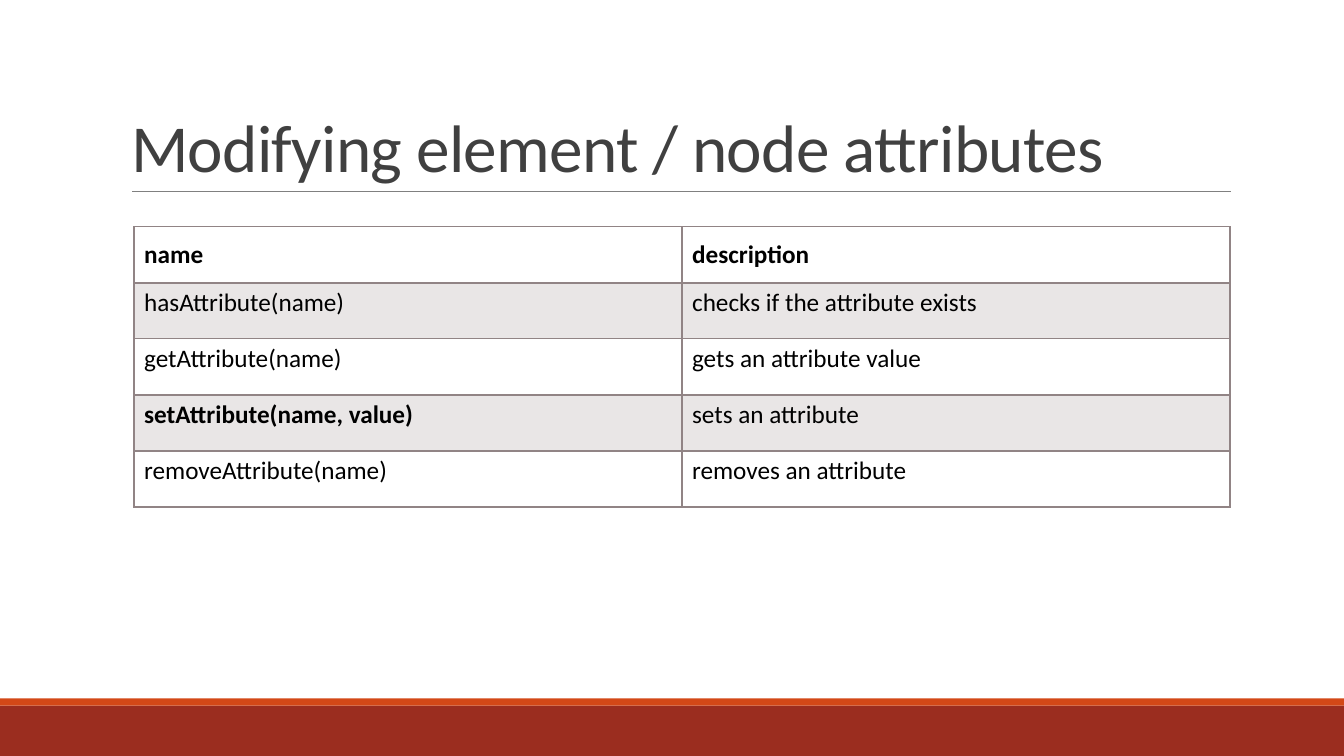
import pptx
import pptx.dml.color
import pptx.enum.shapes
import pptx.enum.text
import pptx.oxml.xmlchemy
import pptx.util
from lxml import etree
from pptx.dml.color import RGBColor
from pptx.oxml.ns import qn
from pptx.util import Inches

BLACK = RGBColor(0x00, 0x00, 0x00)
CHARCOAL = RGBColor(0x40, 0x40, 0x40)
GRAY = RGBColor(0x80, 0x80, 0x80)
MAUVE = RGBColor(0x91, 0x84, 0x85)
ORANGE = RGBColor(0xD3, 0x48, 0x17)
BRICK = RGBColor(0x9B, 0x2D, 0x1F)

ATTRIBUTE_METHODS = [
    ("name", "description"),
    ("hasAttribute(name)", "checks if the attribute exists"),
    ("getAttribute(name)", "gets an attribute value"),
    ("setAttribute(name, value)", "sets an attribute"),
    ("removeAttribute(name)", "removes an attribute"),
]
BOLD_TEXTS = {"name", "description", "setAttribute(name, value)"}


class SlideBuilder:
    font_name = "Calibri"

    def __init__(self, page):
        self.page = page

    def style(self, paragraph, size, color, bold=False):
        font = paragraph.font
        font.name = self.font_name
        font.size = pptx.util.Pt(size)
        font.bold = bold
        font.color.rgb = color

    def band(self, top, height, color):
        box = self.page.shapes.add_shape(
            pptx.enum.shapes.MSO_SHAPE.RECTANGLE,
            0, Inches(top), Inches(13.33), Inches(height))
        box.shadow.inherit = False
        box.fill.solid()
        box.fill.fore_color.rgb = color
        box.line.fill.background()

    def rule(self, left, right, top):
        line = self.page.shapes.add_connector(
            pptx.enum.shapes.MSO_CONNECTOR.STRAIGHT,
            Inches(left), Inches(top), Inches(right), Inches(top))
        line.line.color.rgb = GRAY
        line.line.width = pptx.util.Pt(0.5)
        etree.SubElement(line._element.spPr, qn("a:effectLst"))

    def title(self, text, left, top, width, height):
        box = self.page.shapes.title
        box.left, box.top = Inches(left), Inches(top)
        box.width, box.height = Inches(width), Inches(height)
        frame = box.text_frame
        frame.text = text
        frame.word_wrap = True
        frame.auto_size = pptx.enum.text.MSO_AUTO_SIZE.NONE
        frame.vertical_anchor = pptx.enum.text.MSO_ANCHOR.BOTTOM
        para = frame.paragraphs[0]
        para.alignment = pptx.enum.text.PP_ALIGN.LEFT
        para.line_spacing = 0.85
        self.style(para, 48, CHARCOAL)
        para.runs[0].font._element.set("spc", "-50")

    def borders(self, cell, widths):
        """Draw cell borders, with widths in points for left, right, top, bottom."""
        properties = cell._tc.get_or_add_tcPr()
        for side, width in zip("LRTB", widths):
            line = etree.SubElement(properties, qn(f"a:ln{side}"), w=str(pptx.util.Pt(width)))
            fill = etree.SubElement(line, qn("a:solidFill"))
            etree.SubElement(fill, qn("a:srgbClr"), val=str(MAUVE))

    def shade(self, cell, opacity):
        cell.fill.solid()
        cell.fill.fore_color.rgb = MAUVE
        color = cell._tc.tcPr.find(f"{qn('a:solidFill')}/{qn('a:srgbClr')}")
        etree.SubElement(color, qn("a:alpha"), val=str(opacity * 1000))

    def table(self, rows, left, top, width, row_height):
        table = self.page.shapes.add_table(
            len(rows), len(rows[0]), Inches(left), Inches(top),
            Inches(width), Inches(row_height * len(rows))).table
        for row_index, texts in enumerate(rows):
            table.rows[row_index].height = Inches(row_height)
            for column_index, text in enumerate(texts):
                cell = table.cell(row_index, column_index)
                cell.text = text
                self.style(cell.text_frame.paragraphs[0], 18, BLACK, text in BOLD_TEXTS)
                top_width = 2 if row_index == 1 else 1
                bottom_width = 2 if row_index == 0 else 1
                self.borders(cell, (1, 1, top_width, bottom_width))
                if row_index % 2:
                    self.shade(cell, 20)
                else:
                    cell.fill.background()
                if row_index == 0:
                    cell.vertical_anchor = pptx.enum.text.MSO_ANCHOR.MIDDLE


def main():
    deck = pptx.Presentation()
    deck.slide_width, deck.slide_height = Inches(13.33), Inches(7.5)
    builder = SlideBuilder(deck.slides.add_slide(deck.slide_layouts[5]))
    builder.band(7, 0.5, BRICK)
    builder.band(6.93, 0.07, ORANGE)
    builder.rule(1.31, 12.21, 1.9)
    builder.title("Modifying element / node attributes", 1.2, 0.31, 11, 1.59)
    builder.table(ATTRIBUTE_METHODS, 1.33, 2.25, 10.87, 0.556)
    deck.save("out.pptx")


if __name__ == "__main__":
    main()
